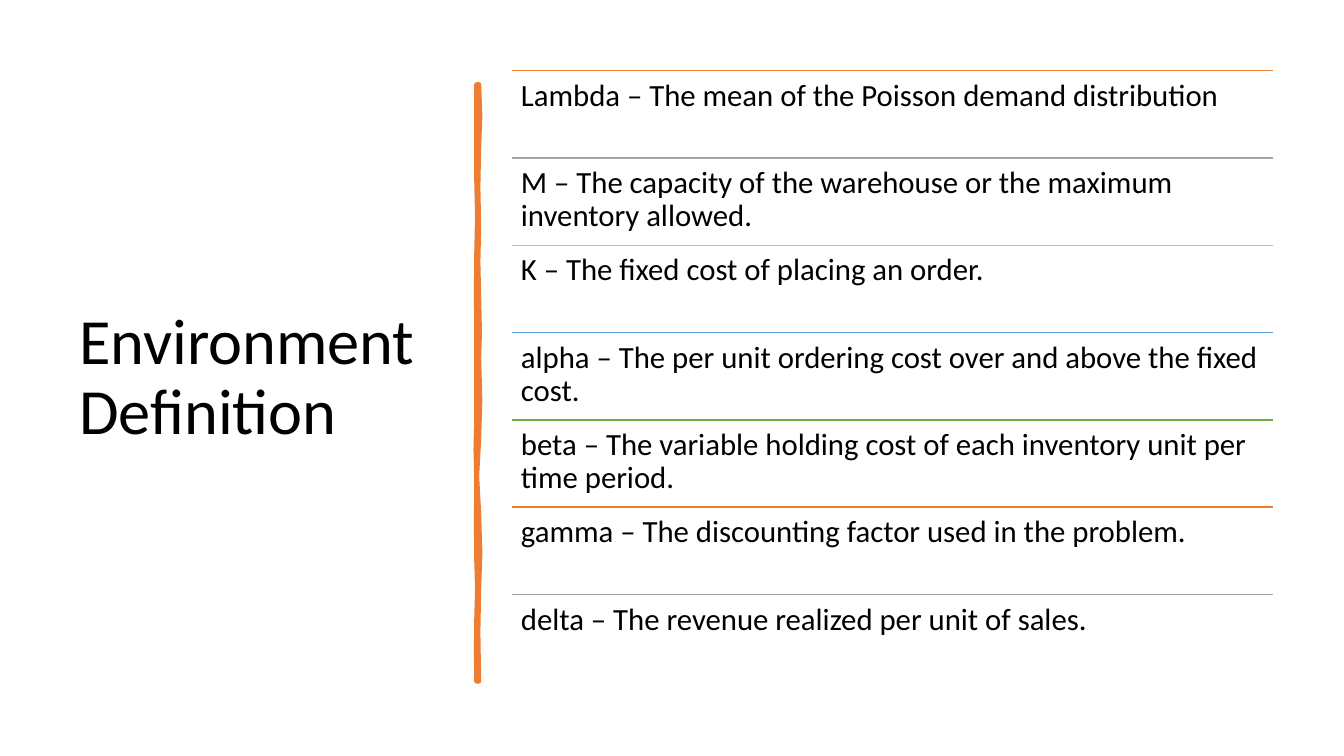
import pptx
import pptx.dml.color
import pptx.enum.shapes
import pptx.enum.text
import pptx.oxml
import pptx.util

Cm = pptx.util.Cm
Pt = pptx.util.Pt
RGBColor = pptx.dml.color.RGBColor

BLACK = RGBColor(0x00, 0x00, 0x00)
ORANGE = RGBColor(0xED, 0x7D, 0x31)
GRAY = RGBColor(0xA5, 0xA5, 0xA5)
GOLD = RGBColor(0xFF, 0xC0, 0x00)
BLUE = RGBColor(0x5B, 0x9B, 0xD5)
GREEN = RGBColor(0x70, 0xAD, 0x47)

LIST_LEFT, LIST_TOP, LIST_WIDTH, ROW_HEIGHT = 12.9, 1.78, 19.18, 2.2

definitions = [
    ("Lambda – The mean of the Poisson demand distribution", ORANGE),
    ("M – The capacity of the warehouse or the maximum inventory allowed.", GRAY),
    ("K – The fixed cost of placing an order.", GOLD),
    ("alpha – The per unit ordering cost over and above the fixed cost.", BLUE),
    ("beta – The variable holding cost of each inventory unit per time period.", GREEN),
    ("gamma – The discounting factor used in the problem.", ORANGE),
    ("delta – The revenue realized per unit of sales.", GRAY),
]

# Hand-drawn bar: down the right edge, then back up the left edge (cm)
bar_outline = [
    (12.07, 2.13), (12.1, 2.92), (12.07, 3.71), (12.05, 4.7), (12.07, 5.74),
    (12.05, 6.6), (12.07, 7.47), (12.09, 8.38), (12.07, 9.04), (12.1, 10.08),
    (12.07, 11.07), (12.02, 11.99), (12.07, 12.95), (12.1, 13.97),
    (12.07, 14.83), (12.05, 15.93), (12.07, 17.17),
    (12.01, 17.17), (12, 16.38), (12.01, 15.57), (12.03, 14.83),
    (12.01, 14.15), (12, 13.13), (12.01, 12.12), (11.99, 11.33),
    (12.01, 10.54), (12.01, 8.51), (12, 7.37), (12.01, 6.35),
    (12.03, 5.46), (12.01, 4.6), (12.01, 2.13),
]


def add_text(left, top, width, height, text, size):
    box = page.shapes.add_textbox(Cm(left), Cm(top), Cm(width), Cm(height))
    box.text_frame.word_wrap = True
    para = box.text_frame.paragraphs[0]
    para.text = text
    para.line_spacing = 0.9
    para.font.name = "Calibri"
    para.font.size = Pt(size)
    para.font.color.rgb = BLACK
    return box.text_frame


deck = pptx.Presentation()
deck.slide_width, deck.slide_height = Cm(33.87), Cm(19.05)
page = deck.slides.add_slide(deck.slide_layouts[6])

title = add_text(1.75, 1.78, 9.5, 15.52, "Environment Definition", 46)
title.vertical_anchor = pptx.enum.text.MSO_ANCHOR.MIDDLE

points = [(Cm(x), Cm(y)) for x, y in bar_outline]
builder = page.shapes.build_freeform(*points[0], scale=1.0)
builder.add_line_segments(points[1:], close=True)
bar = builder.convert_to_shape()
bar.shadow.inherit = False
bar.fill.solid()
bar.fill.fore_color.rgb = ORANGE
bar.line.color.rgb = ORANGE
bar.line.width = Pt(3.25)

for row, (definition, color) in enumerate(definitions):
    top = LIST_TOP + row * ROW_HEIGHT
    rule = page.shapes.add_connector(
        pptx.enum.shapes.MSO_CONNECTOR.STRAIGHT,
        Cm(LIST_LEFT), Cm(top), Cm(LIST_LEFT + LIST_WIDTH), Cm(top))
    rule.line.color.rgb = color
    rule.line.width = Pt(1)
    rule._element.spPr.append(pptx.oxml.parse_xml(
        '<a:effectLst xmlns:a="http://schemas.openxmlformats.org/drawingml/2006/main"/>'))

    frame = add_text(LIST_LEFT, top, LIST_WIDTH, ROW_HEIGHT, definition, 22)
    frame.margin_left = frame.margin_right = Cm(0.23)
    frame.margin_top = frame.margin_bottom = Cm(0.23)

deck.save("out.pptx")
